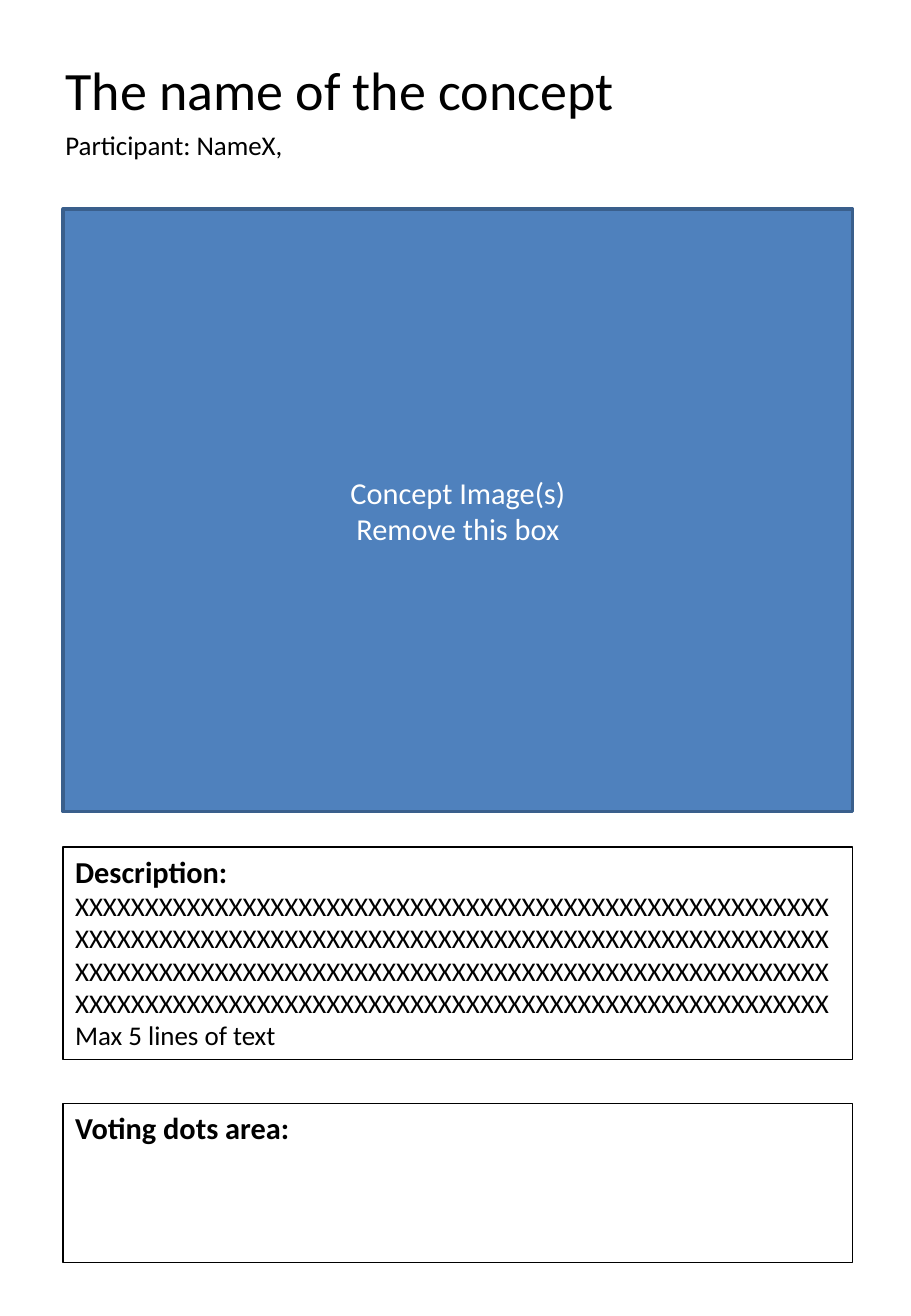
from pptx import Presentation
from pptx.dml.color import RGBColor
from pptx.enum.shapes import MSO_SHAPE
from pptx.enum.text import MSO_ANCHOR as Anchor, MSO_AUTO_SIZE as AutoSize, PP_ALIGN as Align
from pptx.util import Inches, Pt

BLACK, WHITE, BLUE, DARK_BLUE = "000000", "FFFFFF", "4F81BD", "3A5F8C"
BOX_LEFT, BOX_WIDTH = 0.52, 6.5
TEXT_LEFT = 0.44


def color(hex_string):
    """Turn a hex string into a colour."""
    return RGBColor.from_string(hex_string)


def write(shape, lines, text_color=BLACK, align=Align.LEFT, anchor=Anchor.TOP):
    """Fill a shape with one paragraph per (text, size, bold) line."""
    frame = shape.text_frame
    frame.word_wrap = True
    frame.auto_size = AutoSize.NONE
    frame.vertical_anchor = anchor
    frame.text = "\n".join(text for text, size, bold in lines)
    for paragraph, (text, size, bold) in zip(frame.paragraphs, lines):
        paragraph.alignment = align
        font = paragraph.font
        font.name, font.size, font.bold = "Calibri", Pt(size), bold
        font.color.rgb = color(text_color)


presentation = Presentation()
presentation.slide_width = Inches(7.5)
presentation.slide_height = Inches(10.83)
slide = presentation.slides.add_slide(presentation.slide_layouts[5])

# Heading
title = slide.shapes.title
title.left, title.top = Inches(TEXT_LEFT), Inches(0.38)
title.width, title.height = Inches(6.75), Inches(0.71)
write(title, [("The name of the concept", 32, False)], anchor=Anchor.MIDDLE)

participant = slide.shapes.add_textbox(Inches(TEXT_LEFT), Inches(1.01), Inches(4.8), Inches(0.37))
write(participant, [("Participant: NameX,", 16, False)])

# Stacked boxes: top, height, fill, line colour, line width, lines, text style
image_lines = [("Concept Image(s)", 18, False), ("Remove this box", 18, False)]
description_lines = [
    ("Description:", 18, True),
    ("X" * 54 * 4, 16, False),
    ("Max 5 lines of text", 16, False),
]
voting_lines = [("Voting dots area:", 18, True)]
centred = {"text_color": WHITE, "align": Align.CENTER, "anchor": Anchor.MIDDLE}
boxes = [
    (1.72, 4.96, BLUE, DARK_BLUE, 2, image_lines, centred),
    (6.97, 1.75, None, BLACK, 1, description_lines, {}),
    (9.08, 1.31, None, BLACK, 1, voting_lines, {}),
]
for top, height, fill, line_color, line_width, lines, style in boxes:
    box = slide.shapes.add_shape(
        MSO_SHAPE.RECTANGLE, Inches(BOX_LEFT), Inches(top), Inches(BOX_WIDTH), Inches(height))
    box.shadow.inherit = False
    if fill:
        box.fill.solid()
        box.fill.fore_color.rgb = color(fill)
    else:
        box.fill.background()
    box.line.color.rgb = color(line_color)
    box.line.width = Pt(line_width)
    write(box, lines, **style)

presentation.save("out.pptx")
